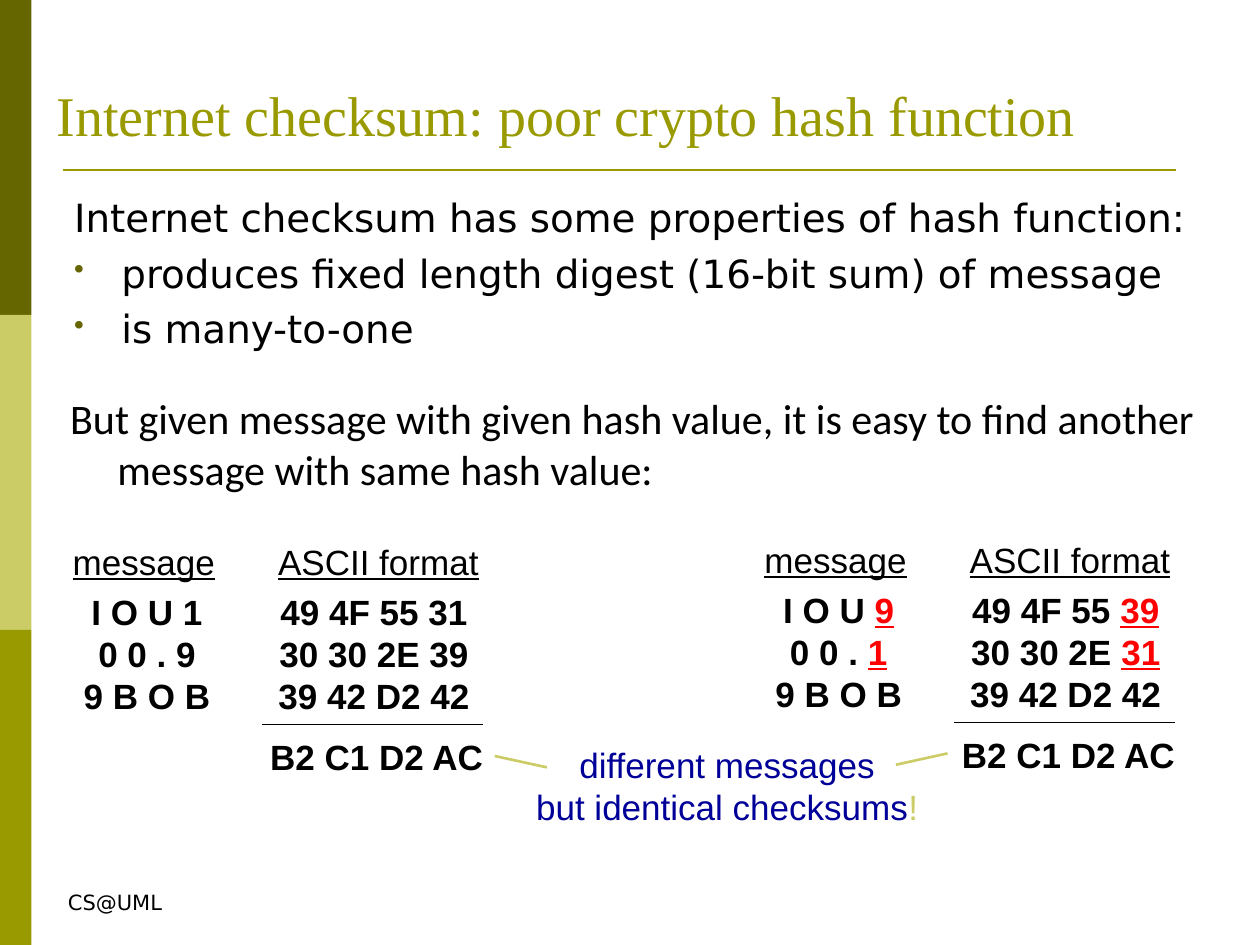
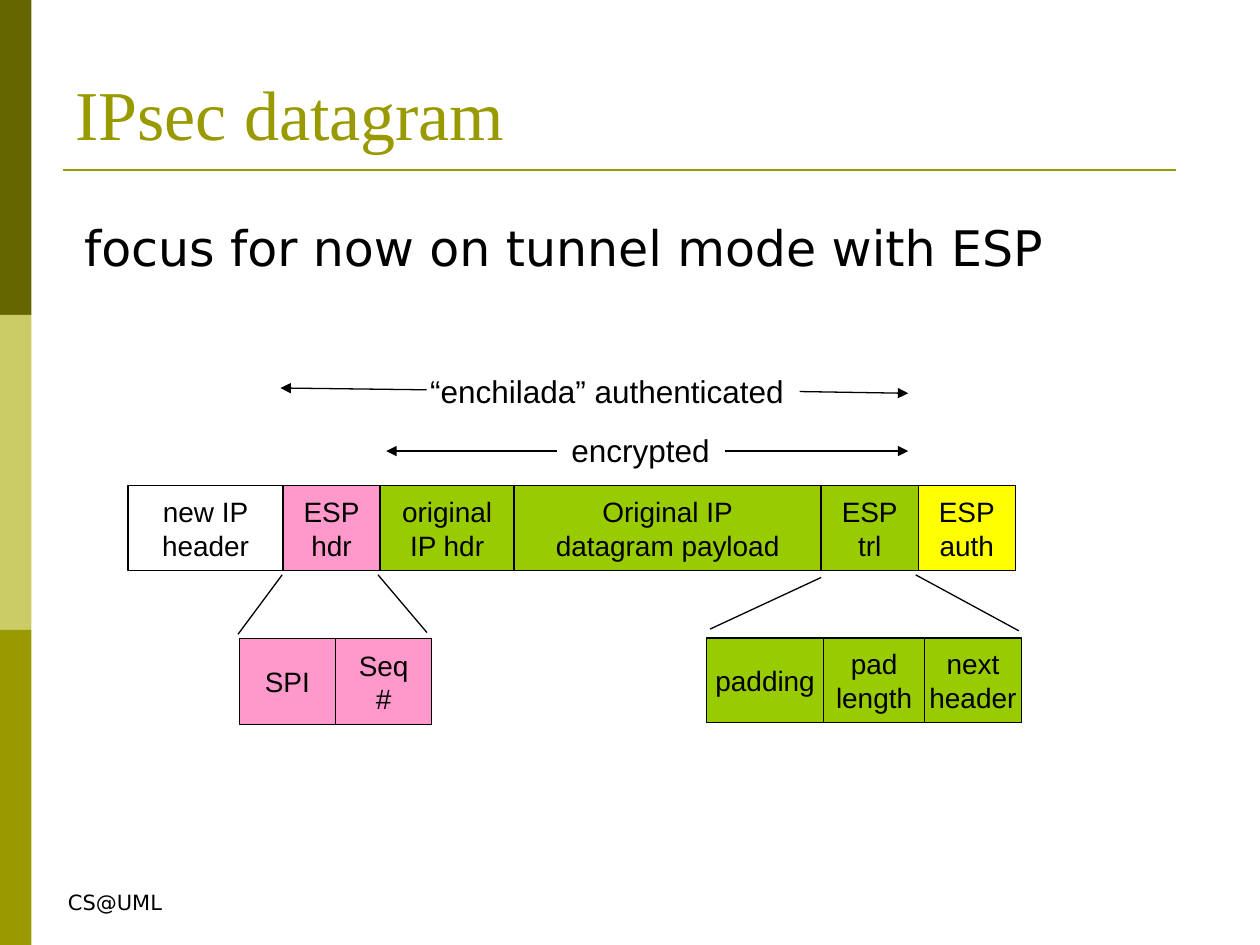
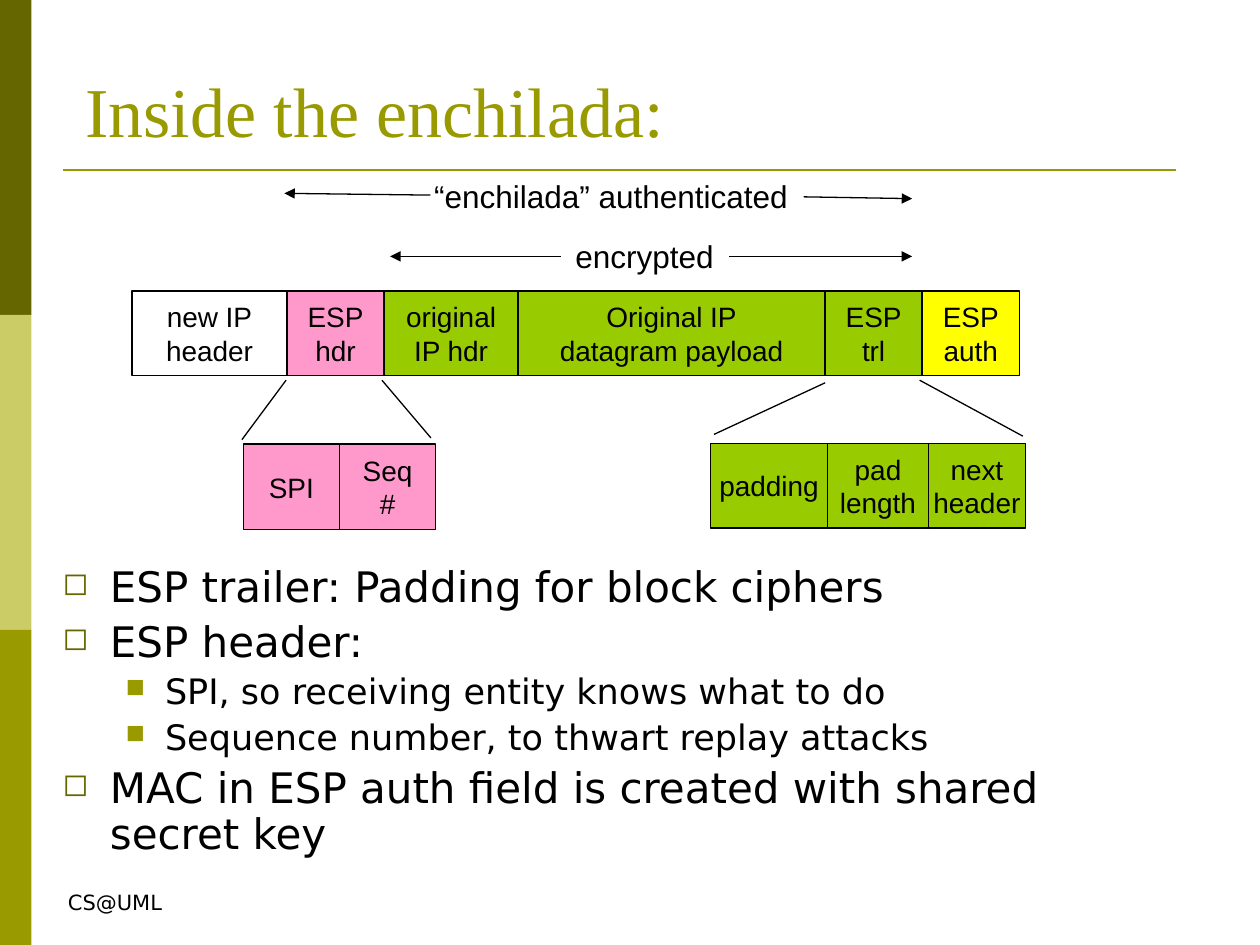
from dataclasses import dataclass, replace

from lxml import etree
from pptx import Presentation
from pptx.dml.color import RGBColor
from pptx.enum import shapes, text
from pptx.oxml.ns import qn
from pptx.util import Pt


@dataclass(frozen=True)
class Type:
    font: str
    size: float
    color: str = "000000"
    bold: bool = False
    underline: bool = False


@dataclass(frozen=True)
class Theme:
    black: str = "000000"
    dark_olive: str = "666600"
    olive: str = "999900"
    lime: str = "CCCC66"
    pink: str = "FF99CC"
    green: str = "99CC00"
    yellow: str = "FFFF00"
    title: Type = Type("Times New Roman", 40, "999900")
    long_title: Type = Type("Times New Roman", 32, "999900")
    lead: Type = Type("DejaVu Sans", 28)
    body: Type = Type("DejaVu Sans", 24)
    sub_body: Type = Type("DejaVu Sans", 20)
    small_body: Type = Type("DejaVu Sans", 22.2)
    remark: Type = Type("Calibri", 24)
    footer: Type = Type("DejaVu Sans", 12)
    column_head: Type = Type("Arial", 20, underline=True)
    code: Type = Type("Arial", 20, bold=True)
    changed: Type = Type("Arial", 20, "FF0000", bold=True, underline=True)
    verdict: Type = Type("Arial", 20, "000099")
    field: Type = Type("Arial", 16)
    span: Type = Type("Arial", 18)


THEME = Theme()
CENTER = text.PP_ALIGN.CENTER


@dataclass(frozen=True)
class Item:
    """A body paragraph, hanging from its bullet."""
    text: str
    style: Type
    bullet: str = ""
    bullet_color: str = THEME.dark_olive
    margin: float = 27
    hang: float = 27


def format_run(r, style):
    r.font.name, r.font.size = style.font, Pt(style.size)
    r.font.bold, r.font.underline = style.bold, style.underline
    r.font.color.rgb = RGBColor.from_string(style.color)


def write(tf, content, style, align=None, accent=None):
    """Fill a text frame; parts after a | on a line take the accent style."""
    tf.text = content.replace("|", "") if accent is None else content
    for p in tf.paragraphs:
        p.alignment = align
        plain, bar, marked = p.text.partition("|")
        p.text = plain
        format_run(p.runs[0], style)
        if bar:
            r = p.add_run()
            r.text = marked
            format_run(r, accent)


class Deck:
    def __init__(self, theme):
        self.theme = theme
        self.prs = Presentation()
        self.prs.slide_width, self.prs.slide_height = Pt(720), Pt(540)
        self.shapes = None

    def slide(self, title, box, style):
        t = self.theme
        self.shapes = self.prs.slides.add_slide(self.prs.slide_layouts[6]).shapes
        for i, color in enumerate((t.dark_olive, t.lime, t.olive)):
            self.rect(0, 180 * i, 18, 180, color)
        self.line((36, 97.25), (671.75, 97.25), t.olive, 1.5)
        self.label(31.75, 504.75, 68.5, 21.75, "CS@UML", t.footer, None)
        tf = self.textbox(*box)
        tf.vertical_anchor = text.MSO_ANCHOR.BOTTOM
        write(tf, title, style)

    def group(self):
        """Send the following elements into one new group."""
        self.shapes = self.shapes.add_group_shape().shapes

    def textbox(self, x, y, w, h):
        tf = self.shapes.add_textbox(Pt(x), Pt(y), Pt(w), Pt(h)).text_frame
        tf.word_wrap = True
        return tf

    def label(self, x, y, w, h, content, style, align=CENTER, accent=None):
        tf = self.textbox(x, y, w, h)
        tf.word_wrap = False
        tf.auto_size = text.MSO_AUTO_SIZE.SHAPE_TO_FIT_TEXT
        write(tf, content, style, align, accent)

    def body(self, x, y, w, h, items, line_spacing=1.0):
        tf = self.textbox(x, y, w, h)
        tf.text = "\n".join(item.text for item in items)
        for p, item in zip(tf.paragraphs, items):
            format_run(p.runs[0], item.style)
            p.line_spacing = line_spacing
            p.space_before = Pt(round(item.style.size * 0.23, 1))
            pPr = p._p.get_or_add_pPr()
            pPr.set("marL", str(Pt(item.margin)))
            pPr.set("indent", str(Pt(-item.hang)))
            if item.bullet:
                color = etree.SubElement(pPr, qn("a:buClr"))
                etree.SubElement(color, qn("a:srgbClr"), val=item.bullet_color)
                etree.SubElement(pPr, qn("a:buSzPct"), val="75000")
                etree.SubElement(pPr, qn("a:buChar"), char=item.bullet)

    def rect(self, x, y, w, h, fill=None):
        sp = self.shapes.add_shape(shapes.MSO_SHAPE.RECTANGLE, Pt(x), Pt(y), Pt(w), Pt(h))
        sp.shadow.inherit = False
        sp.line.fill.background()
        if fill:
            sp.fill.solid()
            sp.fill.fore_color.rgb = RGBColor.from_string(fill)
        else:
            sp.fill.background()
        return sp

    def fields(self, x, y, h, row):
        """Lay out packet fields (text, width, fill) side by side."""
        for content, w, fill in row:
            sp = self.rect(x, y, w, h, fill)
            sp.line.color.rgb = RGBColor.from_string(self.theme.black)
            sp.line.width = Pt(0.75)
            tf = sp.text_frame
            tf.word_wrap = False
            tf.vertical_anchor = text.MSO_ANCHOR.MIDDLE
            write(tf, content, self.theme.field, CENTER)
            x += w

    def line(self, start, end, color=THEME.black, width=0.75, arrow=False):
        c = self.shapes.add_connector(shapes.MSO_CONNECTOR.STRAIGHT,
                                      *(Pt(v) for v in (*start, *end)))
        c.line.color.rgb = RGBColor.from_string(color)
        c.line.width = Pt(width)
        if arrow:
            etree.SubElement(c.line._get_or_add_ln(), qn("a:tailEnd"), type="triangle")
        etree.SubElement(c._element.spPr, qn("a:effectLst"))


def message_sum(deck, x, y, message, ascii_codes):
    """Show a message beside its ASCII codes and their checksum."""
    t = deck.theme
    deck.label(x, y, 96.5, 31.5, "message", t.column_head)
    deck.label(x + 117.5, y, 129.5, 31.5, "ASCII format", t.column_head)
    deck.label(x + 6.5, y + 28.75, 87, 80, message, t.code, accent=t.changed)
    deck.label(x + 117.5, y + 28.75, 124.5, 80, ascii_codes, t.code, accent=t.changed)
    deck.line((x + 116, y + 108.75), (x + 242, y + 108.75))
    deck.label(x + 112.5, y + 111.5, 137.5, 31.5, "B2 C1 D2 AC", t.code)


def datagram(deck, x, y):
    """Draw the ESP datagram with its top-left field corner at x, y."""
    t = deck.theme
    deck.group()
    deck.fields(x, y, 48.5, [
        ("new IP\nheader", 88.5, None), ("ESP\nhdr", 55.5, t.pink),
        ("original\nIP hdr", 76.5, t.green),
        ("Original IP\ndatagram payload", 175.5, t.green),
        ("ESP\ntrl", 55.5, t.green), ("ESP\nauth", 55.5, t.yellow)])
    deck.fields(x + 330.5, y + 87, 48.5, [
        ("padding", 67, t.green), ("pad\nlength", 57.5, t.green),
        ("next\nheader", 55.5, t.green)])
    deck.fields(x + 63.5, y + 87.5, 49, [("SPI", 55, t.pink), ("Seq\n#", 55, t.pink)])

    deck.label(x + 246.25, y - 34.5, 93.5, 29, "encrypted", t.span, None)
    deck.label(x + 165.5, y - 68.5, 216.5, 29, "“enchilada” authenticated", t.span, None)
    span_arrows = [((341.25, -19.75), (445.75, -19.75)), ((245, -19.75), (147.5, -19.75)),
                   ((383.75, -53.75), (445.75, -52.75)), ((170.5, -54.75), (87, -55.75))]
    zoom_lines = [((332.5, 82), (396, 52.5)), ((509, 83), (450, 51)),
                  ((62.75, 85), (88, 51)), ((142.75, 51), (170.75, 84))]
    for lines, arrow in ((span_arrows, True), (zoom_lines, False)):
        for (x1, y1), (x2, y2) in lines:
            deck.line((x + x1, y + y1), (x + x2, y + y2), arrow=arrow)


def checksum_slide(deck):
    t = deck.theme
    deck.slide("Internet checksum: poor crypto hash function",
               (25.25, 21.5, 639.5, 66.25), t.long_title)
    deck.body(35.25, 107.25, 663, 118, [
        Item("Internet checksum has some properties of hash function:", t.small_body),
        Item("produces fixed length digest (16-bit sum) of message", t.small_body, "•"),
        Item("is many-to-one", t.small_body, "•")])
    deck.body(33, 221, 663, 77, [
        Item("But given message with given hash value, it is easy to find another "
             "message with same hash value:", t.remark)])
    message_sum(deck, 34, 305.25, "I O U 1\n0 0 . 9\n9 B O B",
                "49 4F 55 31\n30 30 2E 39\n39 42 D2 42")
    message_sum(deck, 429.25, 304, "I O U |9\n0 0 . |1\n9 B O B",
                "49 4F 55 |39\n30 30 2E |31\n39 42 D2 42")
    deck.label(294.5, 421.25, 242, 55.5, "different messages\nbut identical checksums|!",
               t.verdict, accent=replace(t.verdict, color=t.lime))
    deck.line((312.5, 438.5), (282.75, 432), t.lime, 1.5)
    deck.line((512, 437), (541.5, 430.5), t.lime, 1.5)


def datagram_slide(deck):
    t = deck.theme
    deck.slide("IPsec datagram", (36, 21.5, 648, 70.5), t.title)
    deck.body(41, 121, 612, 365.75, [Item("focus for now on tunnel mode with ESP", t.lead)])
    datagram(deck, 73.25, 277.5)


def enchilada_slide(deck):
    t = deck.theme
    deck.slide("Inside the enchilada:", (41.75, 0, 612, 90), t.title)
    sub = Item("", t.sub_body, "■", t.olive, 58.5, 22.5)
    deck.body(28.75, 319.75, 612, 186.5, [
        Item("ESP trailer: Padding for block ciphers", t.body, "◻"),
        Item("ESP header:", t.body, "◻"),
        replace(sub, text="SPI, so receiving entity knows what to do"),
        replace(sub, text="Sequence number, to thwart replay attacks"),
        Item("MAC in ESP auth field is created with shared secret key", t.body, "◻"),
    ], line_spacing=0.9)
    datagram(deck, 75.5, 166.25)


def main():
    deck = Deck(THEME)
    checksum_slide(deck)
    datagram_slide(deck)
    enchilada_slide(deck)
    deck.prs.save("out.pptx")


if __name__ == "__main__":
    main()
